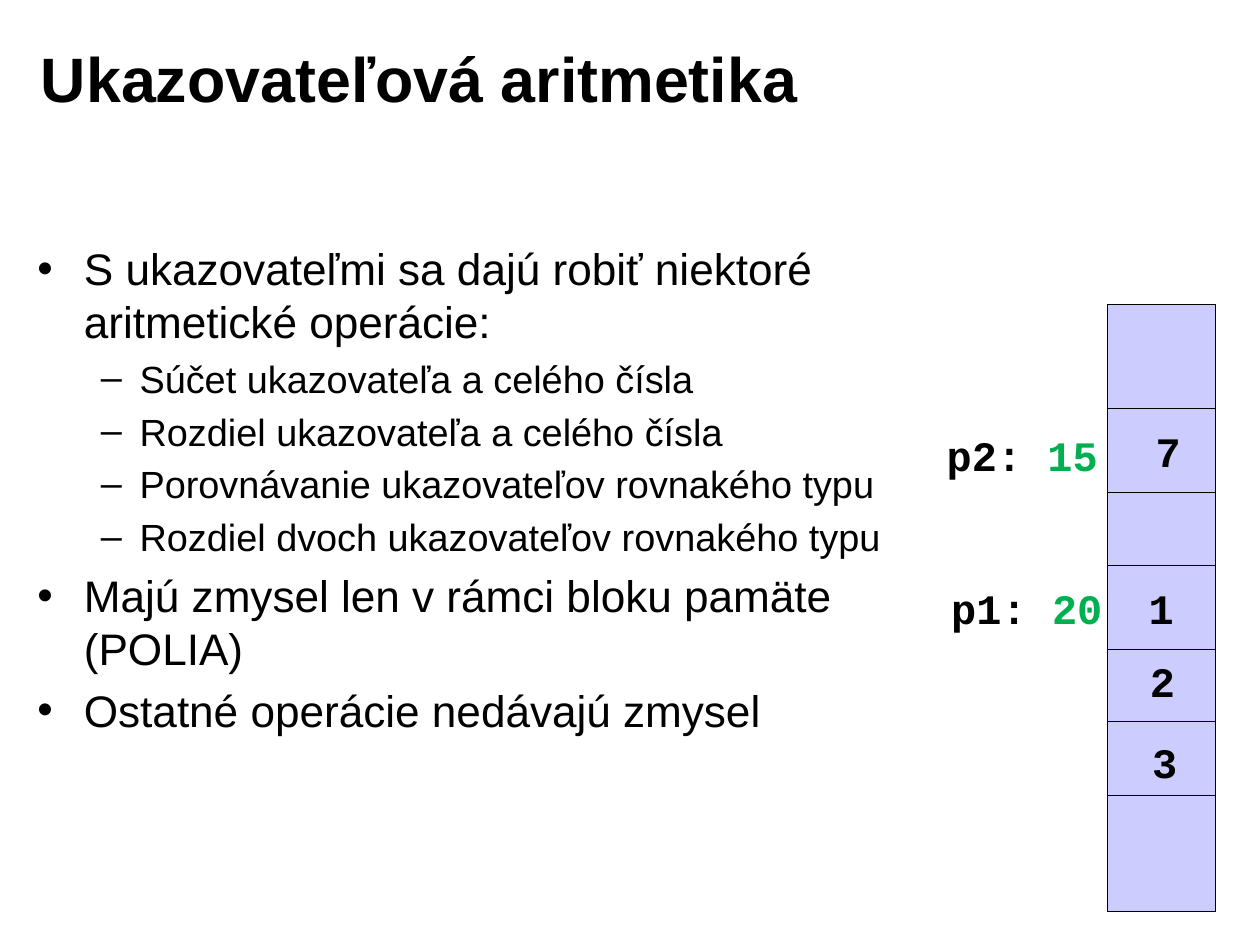
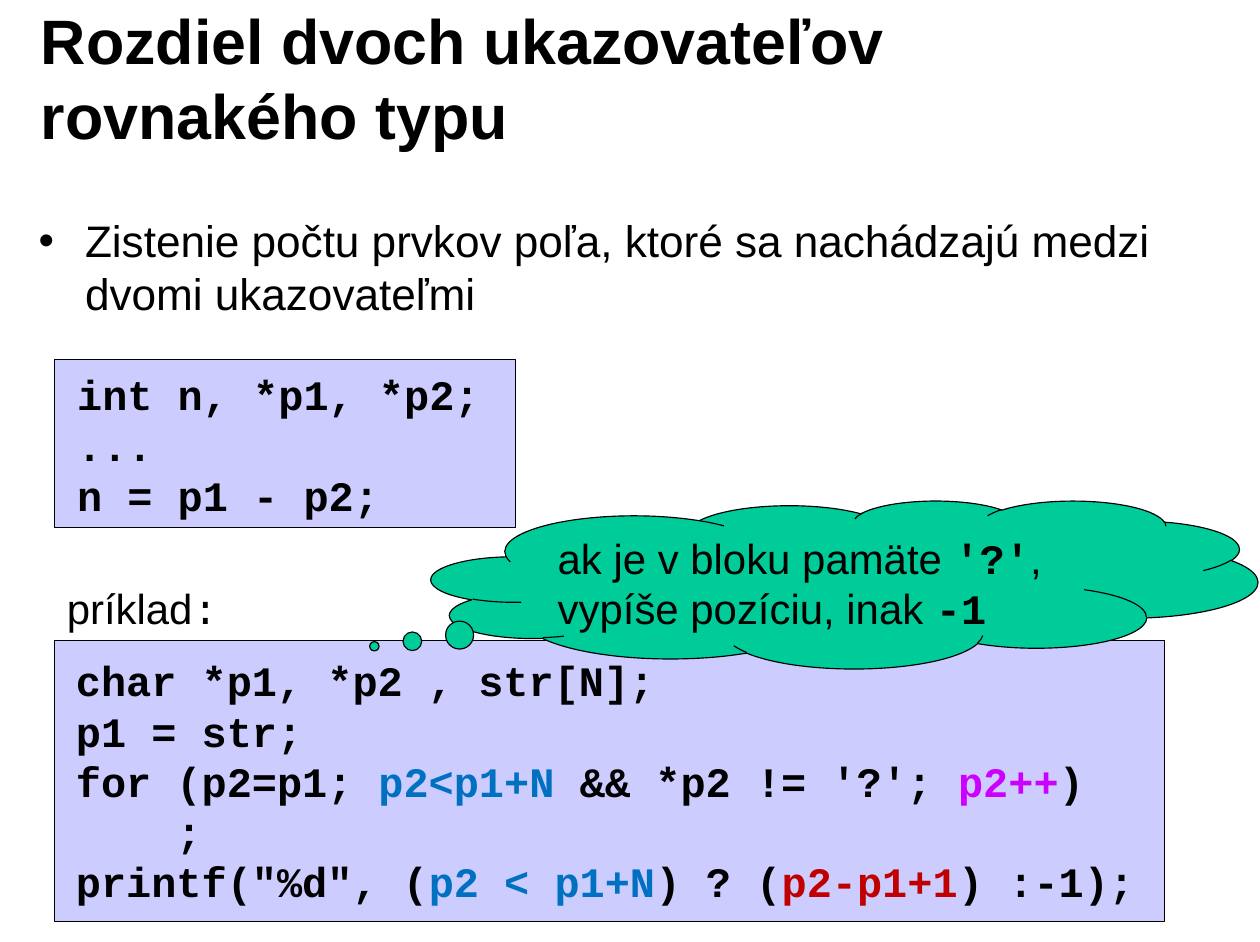
import pptx
import pptx.util
import pptx.dml.color
import pptx.enum.shapes
import pptx.enum.text
import pptx.oxml.ns
from lxml import etree

Inches = pptx.util.Inches
Pt = pptx.util.Pt
Shapes = pptx.enum.shapes.MSO_SHAPE
Anchor = pptx.enum.text.MSO_ANCHOR
qualified = pptx.oxml.ns.qn

COLORS = {
    "ink": "000000",
    "panel": "CCCCFF",
    "cloud": "00CC99",
    "address": "00B050",
    "bound": "0070C0",
    "step": "CC00FF",
    "result": "C00000",
}
TITLE = {"size": 39.8, "name": "Arial", "bold": True}
PLAIN = {"size": 26.6, "name": "Arial", "bold": False}
CODE = {"size": 26.6, "name": "Courier New", "bold": True}
COLON = CODE | {"bold": False}
LEVELS = [
    {"size": 28, "mark": "•", "indent": 0.41, "hanging": 0.41},
    {"size": 24, "mark": "–", "indent": 0.9, "hanging": 0.34},
]
WIDE_MARGINS = (0.11, 0.06)
NARROW_MARGINS = (0.1, 0.05)

ARITHMETIC = {
    "title": "Ukazovateľová aritmetika",
    "place": (0.22, 2.07, 8.34, 5.33),
    "bullets": [
        (0, "S ukazovateľmi sa dajú robiť niektoré aritmetické operácie:"),
        (1, "Súčet ukazovateľa a celého čísla"),
        (1, "Rozdiel ukazovateľa a celého čísla"),
        (1, "Porovnávanie ukazovateľov rovnakého typu"),
        (1, "Rozdiel dvoch ukazovateľov rovnakého typu"),
        (0, "Majú zmysel len v rámci bloku pamäte (POLIA)"),
        (0, "Ostatné operácie nedávajú zmysel"),
    ],
}
MEMORY = (9.76, 2.68, 0.95, 5.35)
MEMORY_DIVIDERS = [3.6, 4.34, 4.98, 5.72, 6.36, 7.01]
MEMORY_VALUES = [
    ("7", 10.07, 3.69),
    ("1", 10.01, 5.07),
    ("2", 10.02, 5.72),
    ("3", 10.04, 6.43),
]
POINTERS = [("p1: ", "20", 8.27, 5.07), ("p2: ", "15", 8.23, 3.73)]

DIFFERENCE = {
    "title": "Rozdiel dvoch ukazovateľov rovnakého typu",
    "place": (0.23, 1.82, 10.57, 1.87),
    "bullets": [
        (0, "Zistenie počtu prvkov poľa, ktoré sa nachádzajú medzi "
            "dvomi ukazovateľmi"),
    ],
}
CODE_PANELS = [
    {
        "panel": (0.48, 3.17, 4.06, 1.48),
        "text": (0.57, 3.19, 3.9, 1.45),
        "margins": WIDE_MARGINS,
        "lines": [
            [("int n, *p1, *p2;", "ink")],
            [("...", "ink")],
            [("n = p1 - p2;", "ink")],
        ],
    },
    {
        "panel": (0.48, 5.64, 9.78, 2.48),
        "text": (0.57, 5.72, 9.68, 2.78),
        "margins": NARROW_MARGINS,
        "lines": [
            [("char *p1, *p2 , str[N];", "ink")],
            [("p1 = str;", "ink")],
            [("for (p2=p1; ", "ink"), ("p2<p1+N", "bound"),
             (" && *p2 != '?'; ", "ink"), ("p2++", "step"), (")", "ink")],
            [("    ;", "ink")],
            [('printf("%d", (', "ink"), ("p2 < p1+N", "bound"),
             (") ? (", "ink"), ("p2-p1+1", "result"), (") :-1);", "ink")],
        ],
    },
]
EXAMPLE_PLACE = (0.49, 5.08, 1.6, 0.55)
EXAMPLE_LABEL = [[("príklad", "ink", PLAIN), (":", "ink", COLON)]]
CLOUD_PLACE = (3.8, 4.41, 7.28, 1.48)
CLOUD_TAIL = (-0.569, 0.368)
CLOUD_LINES = [
    [("ak je v bloku pamäte ", "ink", PLAIN), ("'?'", "ink", CODE),
     (",", "ink", PLAIN)],
    [("vypíše pozíciu, inak ", "ink", PLAIN), ("-1", "ink", CODE)],
]


def color(name):
    return pptx.dml.color.RGBColor.from_string(COLORS[name])


def inches(values):
    return [Inches(value) for value in values]


def add_span(para, text, tint, style):
    span = para.add_run()
    span.text = text
    for attribute, value in style.items():
        setattr(span.font, attribute, Pt(value) if attribute == "size" else value)
    span.font.color.rgb = color(tint)


def prepare_frame(shape, margins=WIDE_MARGINS, anchor=Anchor.TOP):
    side, edge = inches(margins)
    settings = {
        "word_wrap": True, "vertical_anchor": anchor,
        "margin_left": side, "margin_right": side,
        "margin_top": edge, "margin_bottom": edge,
    }
    for attribute, value in settings.items():
        setattr(shape.text_frame, attribute, value)
    return shape.text_frame


def paragraphs(frame, items):
    for index, item in enumerate(items):
        yield (frame.add_paragraph() if index else frame.paragraphs[0]), item


def fill_lines(frame, lines):
    for para, spans in paragraphs(frame, lines):
        para.alignment = pptx.enum.text.PP_ALIGN.LEFT
        for text, tint, style in spans:
            add_span(para, text, tint, style)


def add_text(page, place, lines, margins=WIDE_MARGINS, anchor=Anchor.TOP):
    box = page.shapes.add_textbox(*inches(place))
    fill_lines(prepare_frame(box, margins, anchor), lines)


def add_bullets(page, place, bullets):
    box = page.shapes.add_textbox(*inches(place))
    for para, (depth, text) in paragraphs(prepare_frame(box), bullets):
        level = LEVELS[depth]
        para.level = depth
        properties = para._p.get_or_add_pPr()
        properties.set("marL", str(Inches(level["indent"])))
        properties.set("indent", str(-Inches(level["hanging"])))
        font = etree.SubElement(properties, qualified("a:buFont"))
        font.set("typeface", "Arial")
        mark = etree.SubElement(properties, qualified("a:buChar"))
        mark.set("char", level["mark"])
        if para is not box.text_frame.paragraphs[0] and text != bullets[0][1]:
            para.space_before = Pt(level["size"] * 0.2)
        add_span(para, text, "ink", PLAIN | {"size": level["size"]})


def add_panel(page, kind, place, fill):
    panel = page.shapes.add_shape(kind, *inches(place))
    panel.shadow.inherit = False
    panel.fill.solid()
    panel.fill.fore_color.rgb = color(fill)
    panel.line.color.rgb = color("ink")
    panel.line.width = Pt(0.75)
    return panel


def add_divider(page, left, right, height):
    divider = page.shapes.add_connector(
        pptx.enum.shapes.MSO_CONNECTOR.STRAIGHT,
        *inches((left, height, right, height)))
    divider.line.color.rgb = color("ink")
    divider.line.width = Pt(0.75)
    etree.SubElement(divider._element.spPr, qualified("a:effectLst"))


def add_page(deck, title):
    page = deck.slides.add_slide(deck.slide_layouts[6])
    add_text(page, (0.25, 0.17, 8.92, 1.02), [[(title, "ink", TITLE)]],
             anchor=Anchor.MIDDLE)
    return page


def build_arithmetic(deck):
    page = add_page(deck, ARITHMETIC["title"])
    add_bullets(page, ARITHMETIC["place"], ARITHMETIC["bullets"])
    add_panel(page, Shapes.RECTANGLE, MEMORY, "panel")
    left, _, width, _ = MEMORY
    for height in MEMORY_DIVIDERS:
        add_divider(page, left, left + width, height)
    for value, x, y in MEMORY_VALUES:
        add_text(page, (x, y, 0.5, 0.56), [[(value, "ink", CODE)]])
    for name, address, x, y in POINTERS:
        add_text(page, (x, y, 1.61, 0.56),
                 [[(name, "ink", CODE), (address, "address", CODE)]])


def build_difference(deck):
    page = add_page(deck, DIFFERENCE["title"])
    for block in CODE_PANELS:
        add_panel(page, Shapes.RECTANGLE, block["panel"], "panel")
        lines = [[(text, tint, CODE) for text, tint in line]
                 for line in block["lines"]]
        add_text(page, block["text"], lines, block["margins"])
    add_text(page, EXAMPLE_PLACE, EXAMPLE_LABEL, NARROW_MARGINS)
    cloud = add_panel(page, Shapes.CLOUD_CALLOUT, CLOUD_PLACE, "cloud")
    for index, offset in enumerate(CLOUD_TAIL):
        cloud.adjustments[index] = offset
    fill_lines(prepare_frame(cloud), CLOUD_LINES)
    add_bullets(page, DIFFERENCE["place"], DIFFERENCE["bullets"])


def main():
    deck = pptx.Presentation()
    deck.slide_width, deck.slide_height = inches((11.1, 8.3))
    build_arithmetic(deck)
    build_difference(deck)
    deck.save("out.pptx")


if __name__ == "__main__":
    main()
